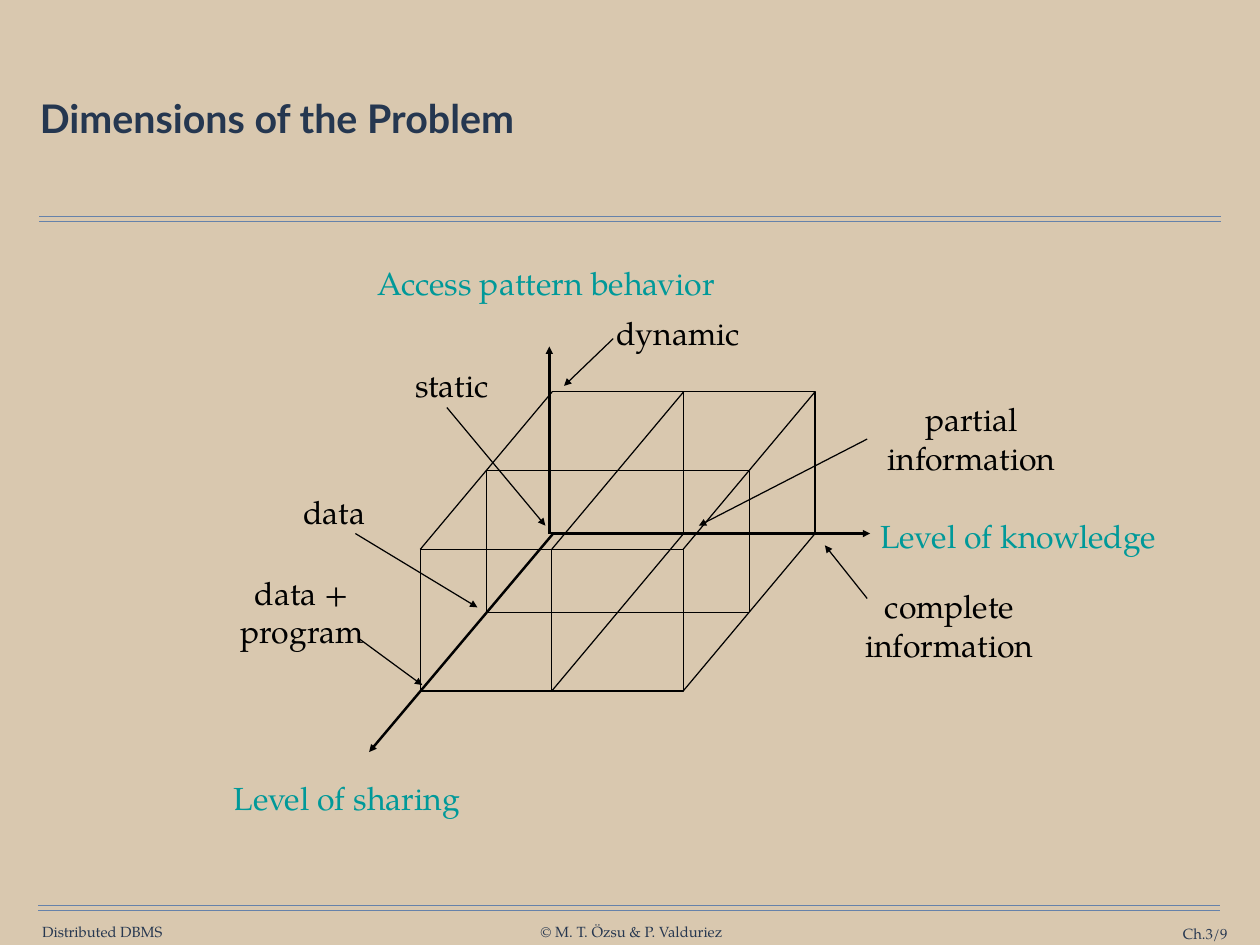
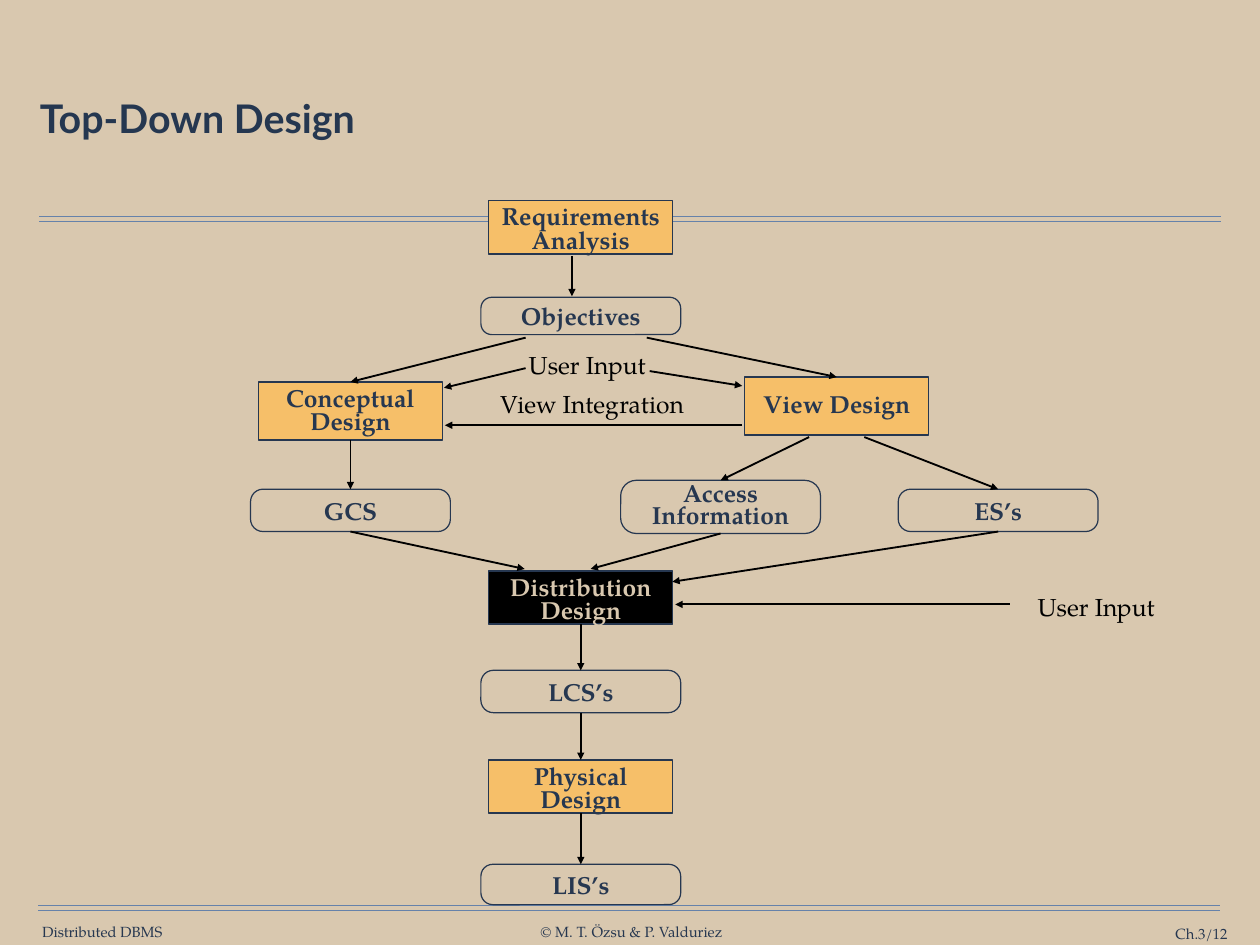
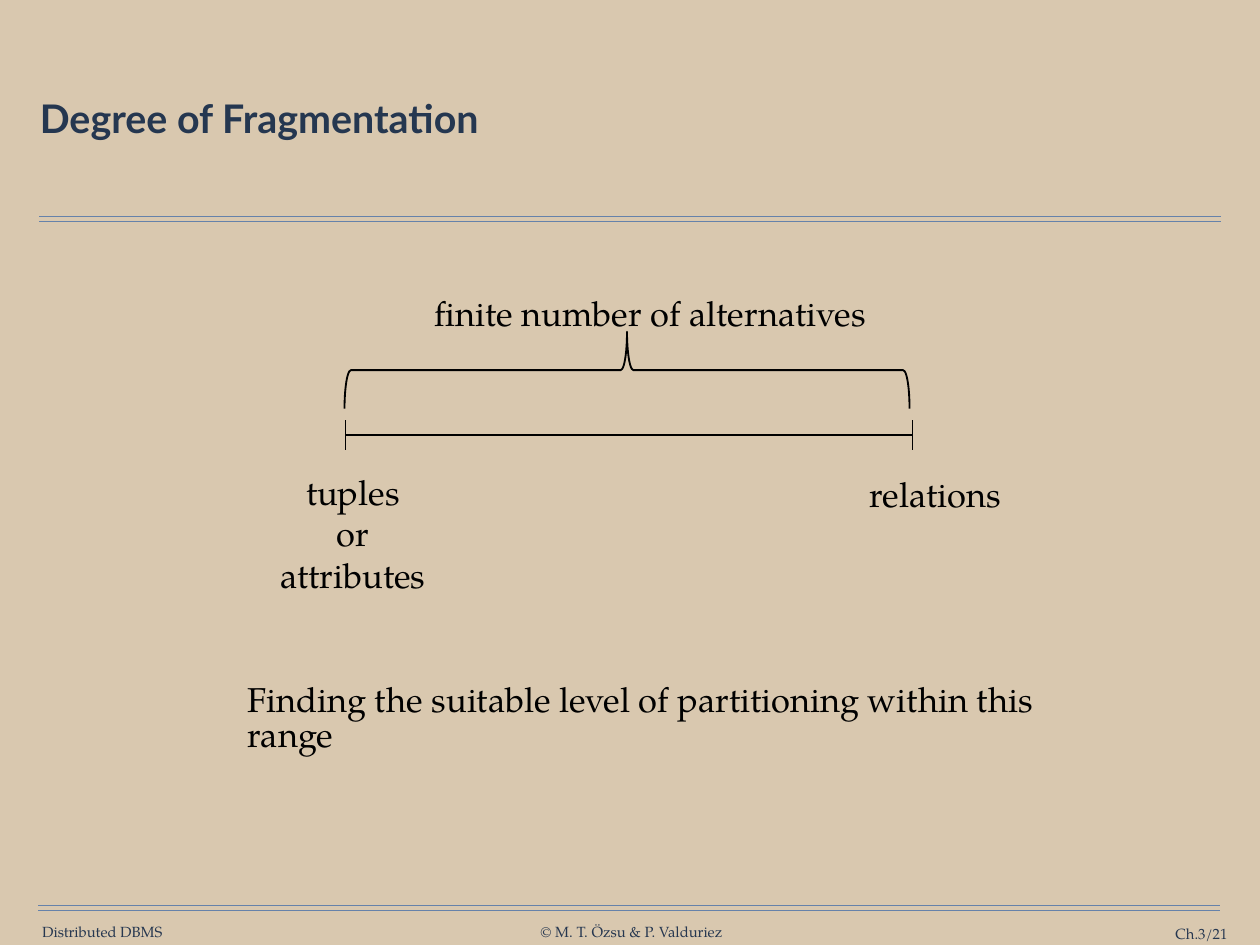
from lxml.etree import SubElement
from pptx import Presentation
from pptx.dml.color import RGBColor
from pptx.enum.shapes import MSO_CONNECTOR, MSO_SHAPE
from pptx.enum.text import MSO_ANCHOR as ANCHOR, PP_ALIGN as ALIGN
from pptx.oxml.ns import qn
from pptx.util import Pt

hex_color = RGBColor.from_string

# The slide is a grid of 128 columns by 96 rows of square cells.
CELL = Pt(8)
COLUMNS, ROWS = 128, 96

SAND, NAVY, TITLE_NAVY = "D9C8AF", "263750", "253750"
RULE_BLUE, TEAL, AMBER, BLACK = "6682AA", "009999", "F6BF69", "000000"
SERIF, SANS = "TeX Gyre Pagella", "Lato"
WIDE_INSET, SLIM_INSET = (1.26, 0.63), (0.9, 0.4)


def put_text(slide, at, lines, size, color=BLACK, bold=False, font=SERIF, align=ALIGN.CENTER,
             anchor=ANCHOR.TOP, spacing=1.0, inset=WIDE_INSET, wrap=False, preset=None):
    """Write lines in a text box, or in a preset shape; at and inset are in cells."""
    place = [round(value * CELL) for value in at]
    if preset is None:
        holder = slide.shapes.add_textbox(*place)
    else:
        holder = slide.shapes.add_shape(preset, *place)
        holder.shadow.inherit = False
    frame = holder.text_frame
    frame.word_wrap = wrap
    frame.vertical_anchor = anchor
    frame.margin_left = frame.margin_right = round(inset[0] * CELL)
    frame.margin_top = frame.margin_bottom = round(inset[1] * CELL)
    for index, line in enumerate(lines):
        paragraph = frame.add_paragraph() if index else frame.paragraphs[0]
        paragraph.alignment = align
        paragraph.line_spacing = spacing
        run = paragraph.add_run()
        run.text = line
        run.font.name = font
        run.font.size = Pt(size)
        run.font.bold = bold
        run.font.color.rgb = hex_color(color)
    return holder


def draw_line(slide, start, end, width=1, color=BLACK, arrow=False):
    """Draw a straight line between two grid points, with an arrowhead at the end if asked."""
    connector = slide.shapes.add_connector(
        MSO_CONNECTOR.STRAIGHT, *[round(value * CELL) for value in (*start, *end)])
    connector.line.color.rgb = hex_color(color)
    connector.line.width = Pt(width)
    properties = connector._element.spPr
    if arrow:
        SubElement(properties.find(qn("a:ln")), qn("a:tailEnd"), type="triangle")
    SubElement(properties, qn("a:effectLst"))
    return connector


prs = Presentation()
prs.slide_width, prs.slide_height = COLUMNS * CELL, ROWS * CELL
backdrop = prs.slide_master.background.fill
backdrop.solid()
backdrop.fore_color.rgb = hex_color(SAND)

# Shared frame: title, double rules and footer
for title, page in [("Dimensions of the Problem", 9), ("Top-Down Design", 12),
                    ("Degree of Fragmentation", 21)]:
    slide = prs.slides.add_slide(prs.slide_layouts[6])
    for left, top in [(4, 22), (3.9, 92)]:
        for row in (top, top + 0.5):
            draw_line(slide, (left, row), (left + 120, row), color=RULE_BLUE)
    for note, at, align in [
            ("Distributed DBMS", (4.2, 93.7, 12.4, 1.8), ALIGN.CENTER),
            ("© M. T. Özsu & P. Valduriez", (54.8, 93.7, 18.7, 1.8), ALIGN.CENTER),
            (f"Ch.3/{page}", (110.8, 93.9, 13.9, 1.8), ALIGN.RIGHT)]:
        put_text(slide, at, [note], 12, NAVY, align=align, anchor=ANCHOR.MIDDLE,
                 inset=(0, 0), wrap=align == ALIGN.RIGHT)
    put_text(slide, (3.5, 4.4, 121, 15.8), [title], 32, TITLE_NAVY, bold=True, font=SANS,
             align=ALIGN.LEFT, anchor=ANCHOR.MIDDLE, spacing=0.9, inset=(0.54, 0.54), wrap=True)

dimensions, top_down, degree = prs.slides

# Dimensions of the Problem: a box of three upright faces behind each other
ORIGIN_X, ORIGIN_Y = 56.1, 54.2
STEP, HEIGHT = 13.35, 14.4
DEPTH_X, DEPTH_Y = 13.4, 16

for start, end in [((55.8, ORIGIN_Y), (55.8, 35.2)), ((56, ORIGIN_Y), (88.4, ORIGIN_Y)),
                   ((56.2, ORIGIN_Y), (37.5, 76.4))]:
    draw_line(dimensions, start, end, 2, arrow=True)

back_left, back_right = ORIGIN_X, ORIGIN_X + 2 * STEP
back_top = ORIGIN_Y - HEIGHT
front_left, front_right = back_left - DEPTH_X, back_right - DEPTH_X
front_top, front_bottom = back_top + DEPTH_Y, ORIGIN_Y + DEPTH_Y
middle_left, middle_right = back_left - DEPTH_X / 2, back_right - DEPTH_X / 2
middle_top, middle_bottom = back_top + DEPTH_Y / 2, ORIGIN_Y + DEPTH_Y / 2

for outline in [
        [(back_left, back_top), (back_right, back_top), (back_right, ORIGIN_Y)],
        [(front_left, front_top), (front_right, front_top),
         (front_right, front_bottom), (front_left, front_bottom)]]:
    corners = [(round(x * CELL), round(y * CELL)) for x, y in outline]
    builder = dimensions.shapes.build_freeform(*corners[0])
    builder.add_line_segments(corners[1:], close=False)
    face = builder.convert_to_shape()
    face.shadow.inherit = False
    face.fill.background()
    face.line.color.rgb = hex_color(BLACK)
    face.line.width = Pt(1)

for x, top in [(back_left + STEP, back_top), (middle_left, middle_top),
               (middle_right, middle_top), (front_left, front_top),
               (front_left + STEP, front_top)]:
    draw_line(dimensions, (x, top), (x, top + HEIGHT))
for y in (middle_top, middle_bottom):
    draw_line(dimensions, (middle_left, y), (middle_right, y))
for y, steps in [(back_top, (0, 1, 2)), (ORIGIN_Y, (1, 2))]:
    for step in steps:
        x = back_left + step * STEP
        draw_line(dimensions, (x, y), (x - DEPTH_X, y + DEPTH_Y))

for axis, at in [("Level of sharing", (22.6, 79.3, 25.3, 4.1)),
                 ("Level of knowledge", (88.2, 52.7, 30.5, 4.1)),
                 ("Access pattern behavior", (37.2, 27, 36.6, 4.1))]:
    put_text(dimensions, at, [axis], 26, TEAL, spacing=0.85, inset=SLIM_INSET)

for lines, at, start, tip in [
        (["dynamic"], (61.3, 31.2, 15.2, 5.2), (62.3, 34.4), (57.3, 39.2)),
        (["static"], (40.8, 36.5, 10.2, 5.2), (45.4, 41.4), (55.4, 53.4)),
        (["partial", "information"], (88, 40, 21.4, 9.1), (88.1, 44.6), (71, 53.4)),
        (["complete", "information"], (86.5, 59, 19.9, 9.1), (88.1, 60.8), (83.8, 55.4)),
        (["data"], (29.5, 49.4, 8.9, 5.2), (36.1, 54.2), (48.5, 61.7)),
        (["data +", "program"], (23.1, 57.6, 15.2, 9.1), (36.5, 64.9), (42.9, 69.6))]:
    put_text(dimensions, at, lines, 26)
    draw_line(dimensions, start, tip, arrow=True)

# Top-Down Design: activities are filled boxes, results are rounded outlines
LEFT_AXIS, MAIN_AXIS, VIEW_AXIS = 35.6, 59, 85
for words, at in [("User Input", (52.3, 34.9, 14.7, 4.3)),
                  ("View Integration", (49.5, 38.9, 21.3, 4.3)),
                  ("User Input", (104, 59.5, 14.7, 4.3))]:
    put_text(top_down, at, [words], 20)

stations = {}
for lines, center, top, height, fill in [
        (["Requirements", "Analysis"], MAIN_AXIS, 20.4, 5.4, AMBER),
        (["Objectives"], MAIN_AXIS, 30.2, 3.8, None),
        (["Conceptual", "Design"], LEFT_AXIS, 38.8, 5.9, AMBER),
        (["View Design"], VIEW_AXIS, 38.3, 5.9, AMBER),
        (["Access", "Information"], 73.2, 48.8, 5.4, None),
        (["ES’s"], 101.4, 49.7, 4.3, None),
        (["GCS"], LEFT_AXIS, 49.7, 4.3, None),
        (["Distribution", "Design"], MAIN_AXIS, 58, 5.4, BLACK),
        (["LCS’s"], MAIN_AXIS, 68.1, 4.3, None),
        (["Physical", "Design"], MAIN_AXIS, 77.2, 5.4, AMBER),
        (["LIS’s"], MAIN_AXIS, 87.8, 4.1, None)]:
    width = 18.7 if fill else 20.3
    two_lines = len(lines) == 2
    station = put_text(
        top_down, (center - width / 2, top, width, height), lines, 20,
        SAND if fill == BLACK else NAVY, bold=True,
        anchor=ANCHOR.TOP if fill and two_lines else ANCHOR.MIDDLE,
        spacing=0.8 if fill else 0.75 if two_lines else 1.0,
        inset=(1.26, 0) if two_lines and not fill else WIDE_INSET,
        preset=MSO_SHAPE.RECTANGLE if fill else MSO_SHAPE.ROUNDED_RECTANGLE)
    station.line.color.rgb = hex_color(NAVY)
    station.line.width = Pt(1)
    if fill:
        station.fill.solid()
        station.fill.fore_color.rgb = hex_color(fill)
    else:
        station.fill.background()
        station.adjustments[0] = 0.293
    stations[lines[0]] = station, (center, top), (center, top + height)

# A name stands for the bottom middle at the start and the top middle at the end.
for start, end in [
        ((58.1, 26), (58.1, 30.1)),
        ((53.4, 34.3), "Conceptual"), ((65.7, 34.3), "View Design"),
        ((53.4, 37.4), (45.1, 39.4)), ((66, 37.7), (75.4, 39.2)),
        ((75.4, 43.2), (45.2, 43.2)),
        ("Conceptual", "GCS"),
        ((82.2, 44.4), "Access"), ((87.8, 44.4), "ES’s"),
        ("GCS", (53.3, 57.8)), ("Access", (60, 57.8)), ("ES’s", (68.3, 59.1)),
        ((102.6, 61.4), (68.6, 61.4)),
        ("Distribution", "LCS’s"), ("LCS’s", "Physical"), ("Physical", "LIS’s")]:
    source, target = stations.get(start), stations.get(end)
    flow = draw_line(top_down, source[2] if source else start,
                     target[1] if target else end, 1.5, arrow=True)
    if source:
        flow.begin_connect(source[0], 2)
    if target:
        flow.end_connect(target[0], 0)

# Degree of Fragmentation: a scale between two ends, under a brace
SCALE_LEFT, SCALE_RIGHT, SCALE_ROW = 35.1, 92.7, 44.2
draw_line(degree, (SCALE_LEFT, SCALE_ROW), (SCALE_RIGHT, SCALE_ROW), 1.5)
for x in (SCALE_LEFT, SCALE_RIGHT):
    draw_line(degree, (x, SCALE_ROW - 1.5), (x, SCALE_ROW + 1.5))

for lines, at, inset in [
        (["tuples", "or", "attributes"], (27.5, 47.4, 16.7, 13.6), (0.9, 0.45)),
        (["relations"], (87, 47.4, 16, 5.5), WIDE_INSET),
        (["finite number of alternatives"], (42.5, 29, 47.1, 5.5), WIDE_INSET)]:
    put_text(degree, at, lines, 28, inset=inset)
put_text(degree, (24.3, 69.1, 83.3, 12.2),
         ["Finding the suitable level of partitioning within this range"], 28,
         align=ALIGN.LEFT, spacing=0.85, inset=SLIM_INSET, wrap=True)

brace = degree.shapes.add_shape(
    MSO_SHAPE.RIGHT_BRACE, *[round(value * CELL) for value in (59.8, 8.9, 7.8, 57.4)])
brace.rotation = 270
brace.shadow.inherit = False
brace.fill.background()
brace.line.color.rgb = hex_color(BLACK)
brace.line.width = Pt(1.5)

prs.save("out.pptx")
